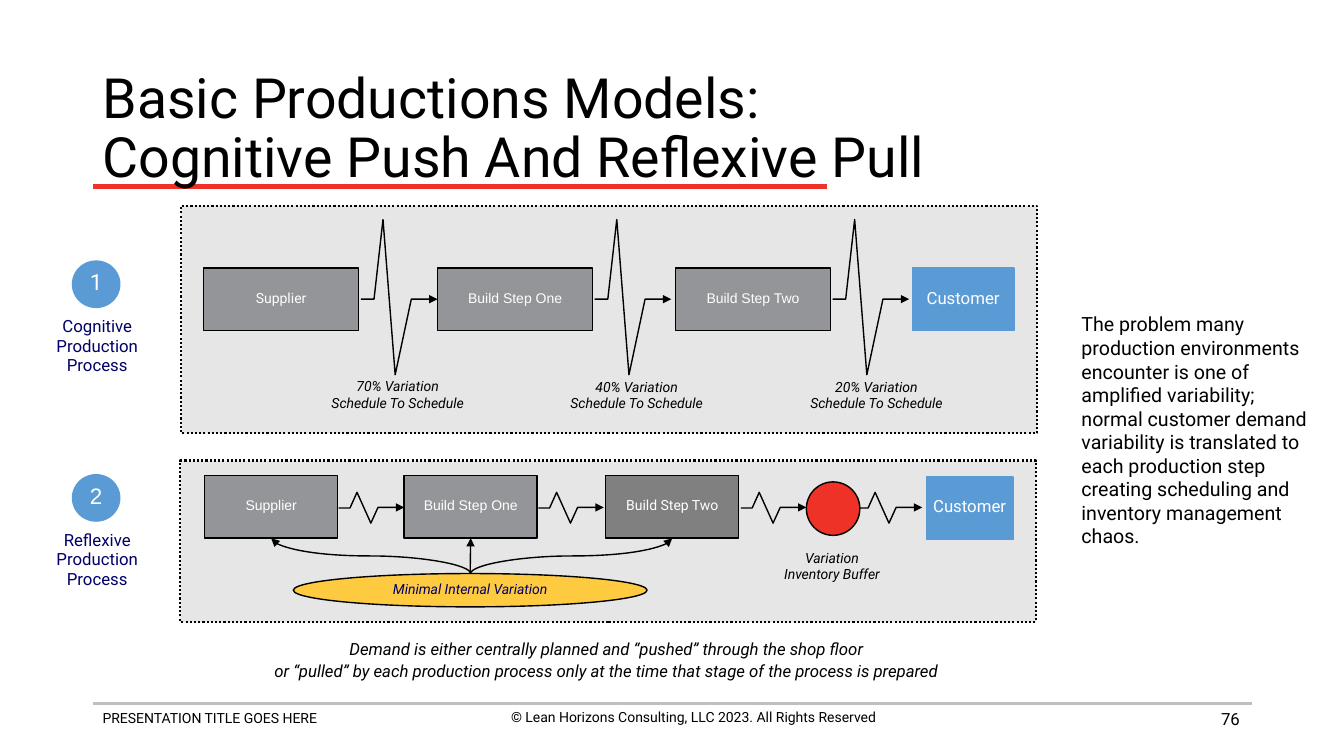
from lxml import etree
from pptx import Presentation
from pptx.dml.color import RGBColor
from pptx.enum.dml import MSO_LINE
from pptx.enum.shapes import MSO_CONNECTOR, MSO_SHAPE
from pptx.enum.text import MSO_ANCHOR, PP_ALIGN
from pptx.oxml.ns import qn
from pptx.util import Pt

RECTANGLE, OVAL = MSO_SHAPE.RECTANGLE, MSO_SHAPE.OVAL
STRAIGHT, CURVE = MSO_CONNECTOR.STRAIGHT, MSO_CONNECTOR.CURVE
LEFT, CENTER, RIGHT = PP_ALIGN.LEFT, PP_ALIGN.CENTER, PP_ALIGN.RIGHT
TOP, MIDDLE = MSO_ANCHOR.TOP, MSO_ANCHOR.MIDDLE
DOTTED = MSO_LINE.ROUND_DOT

BLACK = RGBColor(0x00, 0x00, 0x00)
WHITE = RGBColor(0xFF, 0xFF, 0xFF)
NAVY = RGBColor(0x00, 0x00, 0x66)
RED = RGBColor(0xEE, 0x32, 0x28)
BLUE = RGBColor(0x5B, 0x9B, 0xD5)
YELLOW = RGBColor(0xFD, 0xCA, 0x40)
PANEL_GRAY = RGBColor(0xE7, 0xE6, 0xE6)
STEP_GRAY = RGBColor(0x93, 0x95, 0x98)
DARK_GRAY = RGBColor(0x80, 0x80, 0x80)
RULE_GRAY = RGBColor(0xBF, 0xBF, 0xBF)

deck = Presentation()
deck.slide_width, deck.slide_height = Pt(960), Pt(540)
page = deck.slides.add_slide(deck.slide_layouts[6])
shapes = page.shapes


def add_filled(kind, frame, fill, outline=BLACK):
    shape = shapes.add_shape(kind, *[Pt(value) for value in frame])
    shape.shadow.inherit = False
    shape.fill.solid()
    shape.fill.fore_color.rgb = fill
    shape.line.color.rgb = outline
    shape.line.width = Pt(1)
    return shape


def write(target, text, size, color=BLACK, font="Roboto", italic=False,
          align=CENTER, anchor=TOP, spacing=0.8, wrap=False):
    """Set text in a shape, or in a new text box when target is a frame."""
    if isinstance(target, tuple):
        target = shapes.add_textbox(*[Pt(value) for value in target])
    frame = target.text_frame
    frame.text = text
    frame.word_wrap = wrap
    frame.vertical_anchor = anchor
    for index, para in enumerate(frame.paragraphs):
        para.alignment = align
        para.line_spacing = spacing
        para.space_before = Pt(0.2 * size if index else 0)
        for span in para.runs:
            span.font.name = font
            span.font.size = Pt(size)
            span.font.italic = italic
            span.font.color.rgb = color


# Footer, title and side text
title_rule = shapes.add_connector(STRAIGHT, Pt(66.2), Pt(133.2), Pt(590.4), Pt(133.2))
footer_rule = shapes.add_connector(STRAIGHT, Pt(66.2), Pt(502.6), Pt(894.2), Pt(502.6))
write((66.2, 503.3, 328.3, 31.7), "PRESENTATION TITLE GOES HERE", 10,
      align=LEFT, spacing=1, wrap=True)
write((331.2, 502.6, 328.3, 31.7),
      "© Lean Horizons Consulting, LLC 2023. All Rights Reserved", 10,
      spacing=1, wrap=True)
write((676.8, 499, 216, 28.8), "76", 12, align=RIGHT, anchor=MIDDLE, spacing=1, wrap=True)
write((66.2, 53.3, 828, 79.2),
      "Basic Productions Models:\vCognitive Push And Reflexive Pull", 39.6,
      align=LEFT, anchor=MIDDLE, spacing=0.9, wrap=True)
write((765.4, 219.6, 182.2, 177.1),
      "The problem many production environments encounter is one of amplified "
      "variability; normal customer demand variability is translated to each "
      "production step creating scheduling and inventory management chaos.", 14,
      align=LEFT, spacing=1, wrap=True)

# Panels with their numbered labels
panels = [
    ((129.6, 146.9, 611.3, 162.7), "1", "Roboto", 186.5, "Cognitive"),
    ((128.9, 329, 611.3, 115.2), "2", "Arial", 339.1, "Reflexive"),
]
for frame, number, font, badge_top, process in panels:
    panel = add_filled(RECTANGLE, frame, PANEL_GRAY)
    panel.line.width = Pt(1.5)
    panel.line.dash_style = DOTTED
    badge = add_filled(OVAL, (51.8, badge_top, 33.8, 33.1), BLUE, BLUE)
    write(badge, number, 16, WHITE, font, anchor=MIDDLE)
    write((32.8, badge_top + 38.5, 73.4, 48.2), f"{process}\nProduction\nProcess", 12, NAVY)

# Process steps
step_rows = [
    (191.5, 110.9, [(145.4, "Supplier", "Roboto", STEP_GRAY),
                    (312.5, "Build Step One", "Arial", STEP_GRAY),
                    (482.4, "Build Step Two", "Arial", STEP_GRAY)]),
    (339.8, 95, [(146.2, "Supplier", "Arial", STEP_GRAY),
                 (288.7, "Build Step One", "Arial", STEP_GRAY),
                 (432.7, "Build Step Two", "Roboto", DARK_GRAY)]),
]
for top, width, steps in step_rows:
    row_boxes = []
    for left, name, font, fill in steps:
        box = add_filled(RECTANGLE, (left, top, width, 44.6), fill)
        write(box, name, 10, WHITE, font, anchor=MIDDLE)
        row_boxes.append(box)
pull_boxes = row_boxes

for frame in [(651.6, 191.5, 72.7, 44.6), (661.7, 340.6, 61.9, 44.6)]:
    customer = add_filled(RECTANGLE, frame, BLUE, BLUE)
    write(customer, "Customer", 12, WHITE, anchor=MIDDLE)

# Variation pulses between the steps
LARGE_PULSE = [(9.4, 0), (15.8, -56.9), (24.5, 54), (36, 0), (54.7, 0)]
SMALL_PULSE = [(8.1, 0), (13.1, -11.2), (23, 10.8), (28.1, -0.4), (46.8, -0.4)]
arrows = []
for pulse, y, starts in [(LARGE_PULSE, 213.7, [257.8, 424.8, 594.7]),
                         (SMALL_PULSE, 362.9, [241.9, 384.5, 529.2, 612])]:
    for x in starts:
        builder = shapes.build_freeform(Pt(x), Pt(y))
        builder.add_line_segments([(Pt(x + dx), Pt(y + dy)) for dx, dy in pulse], close=False)
        arrow = builder.convert_to_shape()
        arrow.fill.background()
        arrows.append(arrow)

for left, top, percent in [(228.2, 268.6, 70), (398.9, 269.3, 40), (570.2, 269.3, 20)]:
    write((left, top, 111.6, 29.5), f"{percent}% Variation\nSchedule To Schedule", 10, italic=True)

# Inventory buffer and internal variation
add_filled(OVAL, (576, 344.2, 38.2, 38.2), RED)
write((552.2, 391, 84.2, 29.5), "Variation\nInventory Buffer", 10, italic=True)
variation = add_filled(OVAL, (209.5, 409.7, 252.7, 23.8), YELLOW)
write(variation, "Minimal Internal Variation", 10, NAVY, italic=True, anchor=MIDDLE)

hub_x, hub_y, rise = 336.2, 409.7, 25.2
for target_x, side, degrees in [(193.7, -1, 90), (480.2, 1, 270)]:
    # The frame lies on its side, so that the curve leaves the hub upwards
    middle_x, middle_y = (hub_x + target_x) / 2, hub_y - rise / 2
    half_span = abs(target_x - hub_x) / 2
    curve = shapes.add_connector(
        CURVE, Pt(middle_x - side * rise / 2), Pt(middle_y - half_span),
        Pt(middle_x + side * rise / 2), Pt(middle_y + half_span))
    curve._element.spPr.find(qn("a:xfrm")).set("rot", str(degrees * 60000))
    arrows.append(curve)
upright = shapes.add_connector(STRAIGHT, Pt(hub_x), Pt(hub_y), Pt(hub_x), Pt(hub_y - rise))
upright.begin_connect(variation, 0)
upright.end_connect(pull_boxes[1], 2)
arrows.append(upright)

line_styles = [(title_rule, RED, 3), (footer_rule, RULE_GRAY, 2)]
line_styles += [(arrow, BLACK, 1) for arrow in arrows]
for line_shape, color, width in line_styles:
    line_shape.line.color.rgb = color
    line_shape.line.width = Pt(width)
    properties = line_shape._element.spPr
    etree.SubElement(properties, qn("a:effectLst"))
    if line_shape in arrows:
        etree.SubElement(properties.find(qn("a:ln")), qn("a:tailEnd"), type="triangle")

write((181.4, 453.6, 504, 38.2),
      "Demand is either centrally planned and “pushed” through the shop floor\n"
      "or “pulled” by each production process only at the time that stage of "
      "the process is prepared", 12, italic=True, spacing=0.95)

deck.save("out.pptx")
